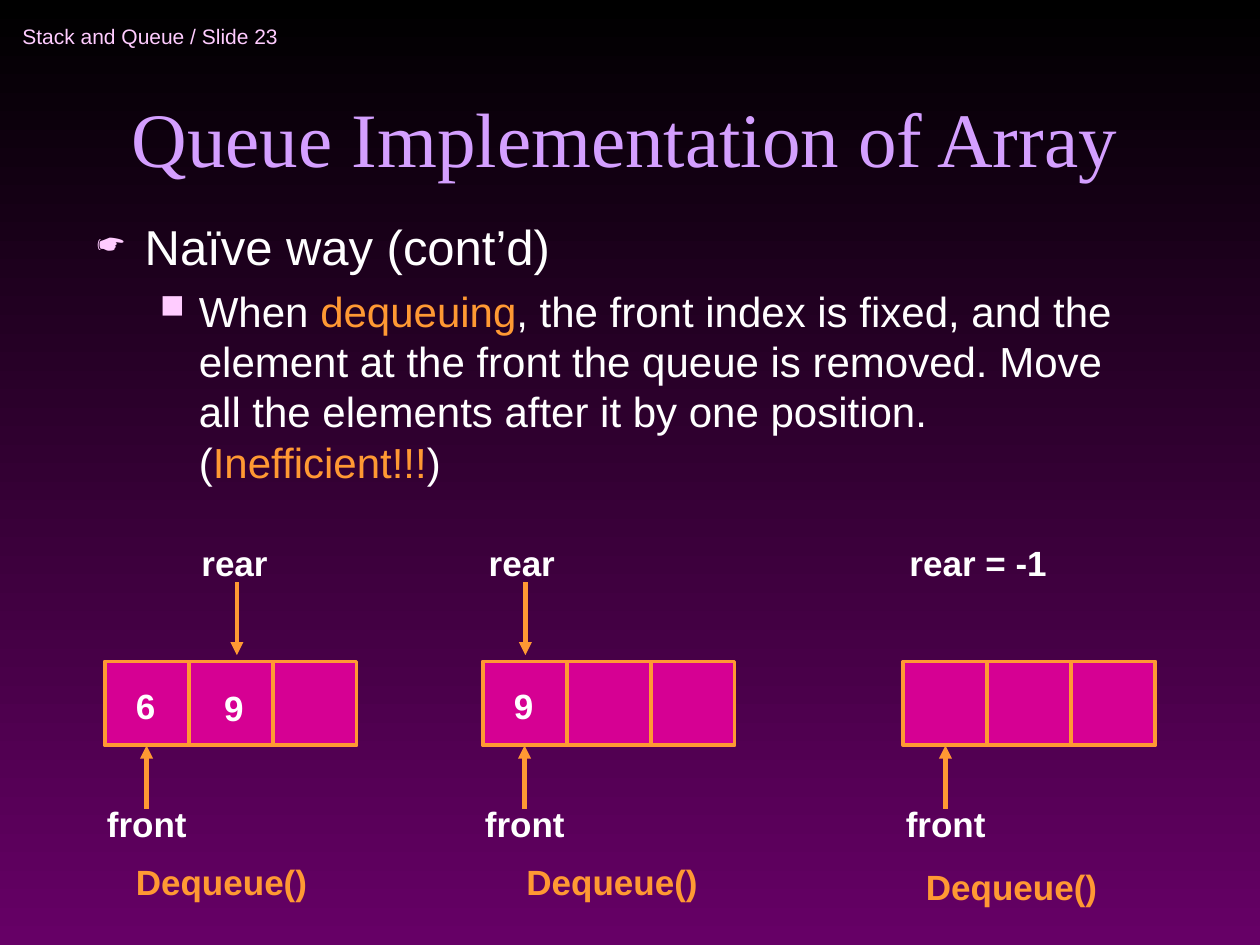
from dataclasses import dataclass

import pptx
import pptx.dml.color
import pptx.enum.shapes
import pptx.enum.text
import pptx.oxml
import pptx.oxml.ns
import pptx.util
from pptx.util import Inches

COLORS = {
    "top": "000000",
    "bottom": "660066",
    "footer": "FFCCFF",
    "title": "D49FFF",
    "white": "FFFFFF",
    "orange": "FF9933",
    "cell": "D60093",
}
CELL = 2 / 3
CELL_TOP = 5.25
LABEL_HEIGHT = 0.43


@dataclass(frozen=True)
class Run:
    text: str
    size: float
    color: str
    bold: bool = False
    font: str = "Arial"


@dataclass(frozen=True)
class Label:
    text: str
    left: float
    top: float
    width: float
    color: str = "white"


@dataclass(frozen=True)
class Bullet:
    symbol: str
    scale: int
    margin: float
    hanging: float


@dataclass(frozen=True)
class Queue:
    left: float
    values: tuple[Label, ...]
    rear: Label
    dequeue: Label
    rear_arrow: float | None = None


def rgb(name: str) -> pptx.dml.color.RGBColor:
    return pptx.dml.color.RGBColor.from_string(COLORS[name])


def add_runs(paragraph, runs: list[Run]) -> None:
    for item in runs:
        run = paragraph.add_run()
        run.text = item.text
        run.font.name = item.font
        run.font.size = pptx.util.Pt(item.size)
        run.font.bold = item.bold
        run.font.color.rgb = rgb(item.color)


def add_text_frame(slide, left: float, top: float, width: float, height: float):
    shape = slide.shapes.add_textbox(Inches(left), Inches(top), Inches(width), Inches(height))
    shape.text_frame.word_wrap = True
    return shape.text_frame


def add_label(slide, label: Label) -> None:
    frame = add_text_frame(slide, label.left, label.top, label.width, LABEL_HEIGHT)
    add_runs(frame.paragraphs[0], [Run(label.text, 20, label.color, bold=True)])


def add_bullet(paragraph, bullet: Bullet) -> None:
    properties = paragraph._p.get_or_add_pPr()
    properties.set("marL", str(Inches(bullet.margin)))
    properties.set("indent", str(-Inches(bullet.hanging)))
    namespace = pptx.oxml.ns.nsdecls("a")
    for xml in (
        f'<a:buClr {namespace}><a:srgbClr val="{COLORS["footer"]}"/></a:buClr>',
        f'<a:buSzPct {namespace} val="{bullet.scale * 1000}"/>',
        f'<a:buChar {namespace} char="{bullet.symbol}"/>',
    ):
        properties.append(pptx.oxml.parse_xml(xml))


def add_arrow(slide, x: float, start: float, end: float) -> None:
    connector = slide.shapes.add_connector(
        pptx.enum.shapes.MSO_CONNECTOR.STRAIGHT, Inches(x), Inches(start), Inches(x), Inches(end)
    )
    connector.line.color.rgb = rgb("orange")
    connector.line.width = pptx.util.Pt(2.5)
    namespace = pptx.oxml.ns.nsdecls("a")
    connector.line._get_or_add_ln().append(
        pptx.oxml.parse_xml(f'<a:tailEnd {namespace} type="triangle"/>')
    )
    connector._element.spPr.append(pptx.oxml.parse_xml(f"<a:effectLst {namespace}/>"))


def add_cell(slide, left: float) -> None:
    shape = slide.shapes.add_shape(
        pptx.enum.shapes.MSO_SHAPE.RECTANGLE,
        Inches(left), Inches(CELL_TOP), Inches(CELL), Inches(CELL),
    )
    shape.shadow.inherit = False
    shape.fill.solid()
    shape.fill.fore_color.rgb = rgb("cell")
    shape.line.color.rgb = rgb("orange")
    shape.line.width = pptx.util.Pt(2.25)


def add_queue(slide, queue: Queue) -> None:
    for index in range(3):
        add_cell(slide, queue.left + index * CELL)
    front = Label("front", queue.left - 0.08, 6.32, 1.08)
    for label in (front, queue.rear, *queue.values, queue.dequeue):
        add_label(slide, label)
    add_arrow(slide, queue.left + CELL / 2, 6.42, CELL_TOP + CELL)
    if queue.rear_arrow is not None:
        add_arrow(slide, queue.rear_arrow, 4.62, 5.2)


def set_background(slide) -> None:
    fill = slide.background.fill
    fill.gradient()
    fill.gradient_angle = 270
    for stop, position, name in zip(fill.gradient_stops, (0, 1), ("top", "bottom")):
        stop.position = position
        stop.color.rgb = rgb(name)


def add_headings(slide) -> None:
    footer = add_text_frame(slide, 0.08, 0.08, 2.75, 0.42)
    footer.word_wrap = False
    footer.vertical_anchor = pptx.enum.text.MSO_ANCHOR.MIDDLE
    add_runs(footer.paragraphs[0], [Run("Stack and Queue / Slide 23", 12, "footer")])

    title = add_text_frame(slide, 0.67, 0.25, 8.58, 1.25)
    title.vertical_anchor = pptx.enum.text.MSO_ANCHOR.BOTTOM
    title.paragraphs[0].alignment = pptx.enum.text.PP_ALIGN.CENTER
    add_runs(
        title.paragraphs[0],
        [Run("Queue Implementation of Array", 44, "title", font="Times New Roman")],
    )


def add_body(slide) -> None:
    body = add_text_frame(slide, 0.67, 1.67, 8.58, 2.5)
    topic = body.paragraphs[0]
    add_bullet(topic, Bullet("☛", 75, 0.38, 0.38))
    add_runs(topic, [Run("Naïve way (cont’d)", 28, "white")])

    detail = body.add_paragraph()
    detail.level = 1
    detail.space_before = pptx.util.Pt(5.5)
    add_bullet(detail, Bullet("■", 80, 0.81, 0.31))
    explanation = (
        ", the front index is fixed, and the element at the front the queue is removed. "
        "Move all the elements after it by one position. ("
    )
    add_runs(detail, [
        Run("When ", 24, "white"),
        Run("dequeuing", 24, "orange"),
        Run(explanation, 24, "white"),
        Run("Inefficient!!!", 24, "orange"),
        Run(")", 24, "white"),
    ])


def main() -> None:
    presentation = pptx.Presentation()
    presentation.slide_width = Inches(10)
    presentation.slide_height = Inches(7.5)
    slide = presentation.slides.add_slide(presentation.slide_layouts[6])
    set_background(slide)
    add_headings(slide)
    add_body(slide)
    queues = (
        Queue(0.83, (Label("6", 0.98, 5.38, 0.33), Label("9", 1.68, 5.4, 0.33)),
              Label("rear", 1.5, 4.25, 1.08),
              Label("Dequeue()", 0.98, 6.78, 1.93, "orange"), 1.88),
        Queue(3.83, (Label("9", 3.98, 5.38, 0.33),), Label("rear", 3.78, 4.25, 1.08),
              Label("Dequeue()", 4.08, 6.78, 1.93, "orange"), 4.17),
        Queue(7.17, (), Label("rear = -1", 7.12, 4.25, 1.3),
              Label("Dequeue()", 7.25, 6.82, 1.93, "orange")),
    )
    for queue in queues:
        add_queue(slide, queue)
    presentation.save("out.pptx")


if __name__ == "__main__":
    main()
